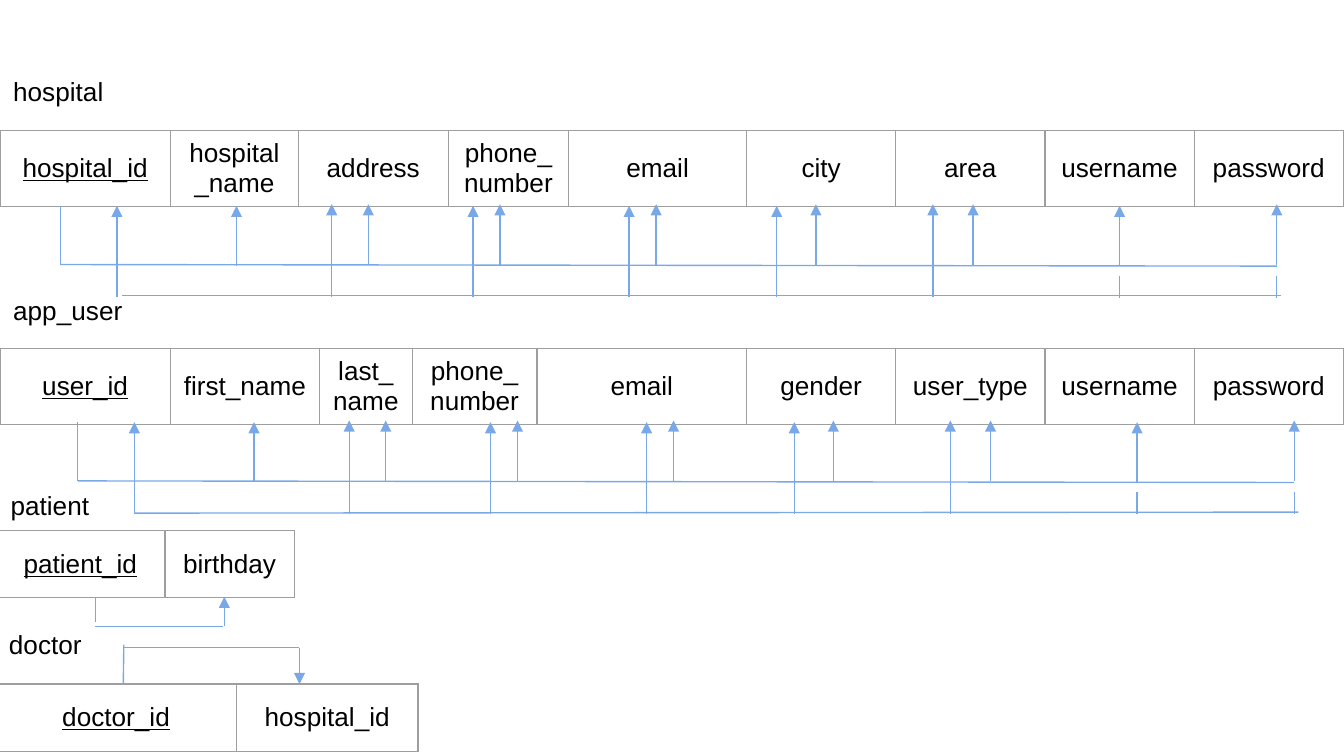
from lxml import etree
from pptx import Presentation
from pptx import util as u
from pptx.dml.color import RGBColor
from pptx.enum import shapes, text
from pptx.oxml import parse_xml
from pptx.oxml.ns import nsdecls, qn

BLACK = RGBColor(0x00, 0x00, 0x00)
BORDER = RGBColor(0x9E, 0x9E, 0x9E)
DEPENDENCY = RGBColor(0x79, 0xA8, 0xE9)


def write(frame, content, align=text.PP_ALIGN.LEFT, underline=False):
    paragraph = frame.paragraphs[0]
    paragraph.alignment = align
    run = paragraph.add_run()
    run.text = content
    run.font.name = "Arial"
    run.font.size = u.Pt(14)
    run.font.color.rgb = BLACK
    run.font.underline = underline


def draw_line(x1, y1, x2, y2, arrow=False):
    """Draw a dependency line between two points in cm, with an optional head at the end."""
    line = slide.shapes.add_connector(
        shapes.MSO_CONNECTOR.STRAIGHT, u.Cm(x1), u.Cm(y1), u.Cm(x2), u.Cm(y2))
    line.line.color.rgb = DEPENDENCY
    line.line.width = u.Pt(0.75)
    if arrow:
        etree.SubElement(line.line._get_or_add_ln(), qn("a:tailEnd"), type="triangle")
    etree.SubElement(line._element.spPr, qn("a:effectLst"))


prs = Presentation()
prs.slide_width, prs.slide_height = u.Cm(25.4), u.Cm(14.29)
slide = prs.slides.add_slide(prs.slide_layouts[6])

# Relations: name, label (left, top, width), table (left, top, height), columns with widths.
# The first column of each relation is its key.
relations = [
    ("hospital", (0, 1.3, 2.31), (0, 2.46, 1.37), [
        ("hospital_id", 3.22), ("hospital_name", 2.42), ("address", 2.83),
        ("phone_number", 2.28), ("email", 3.36), ("city", 2.82), ("area", 2.82),
        ("username", 2.82), ("password", 2.82)]),
    ("app_user", (0, 5.44, 2.64), (0, 6.58, 1.44), [
        ("user_id", 3.22), ("first_name", 2.82), ("last_name", 1.75),
        ("phone_number", 2.36), ("email", 3.96), ("gender", 2.82), ("user_type", 2.82),
        ("username", 2.82), ("password", 2.82)]),
    ("patient", (-0.05, 9.12, 2.01), (-0.08, 10.03, 1.27), [
        ("patient_id", 3.2), ("birthday", 2.44)]),
    ("doctor", (-0.08, 11.76, 1.91), (-0.08, 12.93, 1.27), [
        ("doctor_id", 4.55), ("hospital_id", 3.43)]),
]

for name, (label_left, label_top, label_width), (left, top, height), columns in relations:
    label = slide.shapes.add_textbox(
        u.Cm(label_left), u.Cm(label_top), u.Cm(label_width), u.Cm(0.86))
    label.text_frame.word_wrap = False
    write(label.text_frame, name)

    width = sum(column_width for _, column_width in columns)
    relation = slide.shapes.add_table(
        1, len(columns), u.Cm(left), u.Cm(top), u.Cm(width), u.Cm(height)).table
    relation.first_row = relation.horz_banding = False
    for index, (attribute, column_width) in enumerate(columns):
        relation.columns[index].width = u.Cm(column_width)
        cell = relation.cell(0, index)
        cell.vertical_anchor = text.MSO_ANCHOR.MIDDLE
        cell.margin_left = cell.margin_right = u.Cm(0.24)
        cell.fill.background()
        write(cell.text_frame, attribute, align=text.PP_ALIGN.CENTER, underline=index == 0)
        for position, side in enumerate(("lnL", "lnR", "lnT", "lnB")):
            cell._tc.get_or_add_tcPr().insert(position, parse_xml(
                f'<a:{side} {nsdecls("a")} w="{u.Pt(0.75)}"><a:solidFill>'
                f'<a:srgbClr val="{BORDER}"/></a:solidFill></a:{side}>'))

# Both large relations share one pattern of dependencies, shifted by (dx, dy).
HIGH, LOW = 3.86, 3.89
key_arrows = [(4.47, LOW), (6.96, HIGH), (9.45, HIGH), (12.4, HIGH), (15.42, HIGH),
              (18.39, HIGH), (21.16, LOW), (24.13, HIGH)]
phone_arrows = [(2.21, LOW), (6.27, HIGH), (8.94, LOW), (11.89, LOW), (14.68, LOW),
                (17.63, HIGH)]
for dx, dy, lower_bar in ((0, 0, (2.31, 5.59, 24.21, 5.59)),
                          (0.33, 4.09, (2.54, 9.7, 24.54, 9.68))):
    draw_line(1.14 + dx, 5 + dy, 24.13 + dx, 5.03 + dy)
    draw_line(1.14 + dx, 5 + dy, 1.14 + dx, LOW + dy)
    for x, tip in key_arrows:
        draw_line(x + dx, tip + 1.14 + dy, x + dx, tip + dy, arrow=True)
    draw_line(*lower_bar)
    for x, tip in phone_arrows:
        draw_line(x + dx, 5.62 + dy, x + dx, tip + dy, arrow=True)
    for x in (21.16, 24.13):
        draw_line(x + dx, 5.21 + dy, x + dx, 5.63 + dy)

# patient_id determines birthday
draw_line(1.8, 11.28, 1.8, 11.76)
draw_line(4.22, 11.84, 1.8, 11.84)
draw_line(4.24, 11.84, 4.24, 11.28, arrow=True)

# doctor_id determines hospital_id
draw_line(2.33, 12.93, 2.34, 12.19)
draw_line(5.66, 12.24, 2.34, 12.24)
draw_line(5.66, 12.24, 5.66, 12.93, arrow=True)

prs.save("out.pptx")
